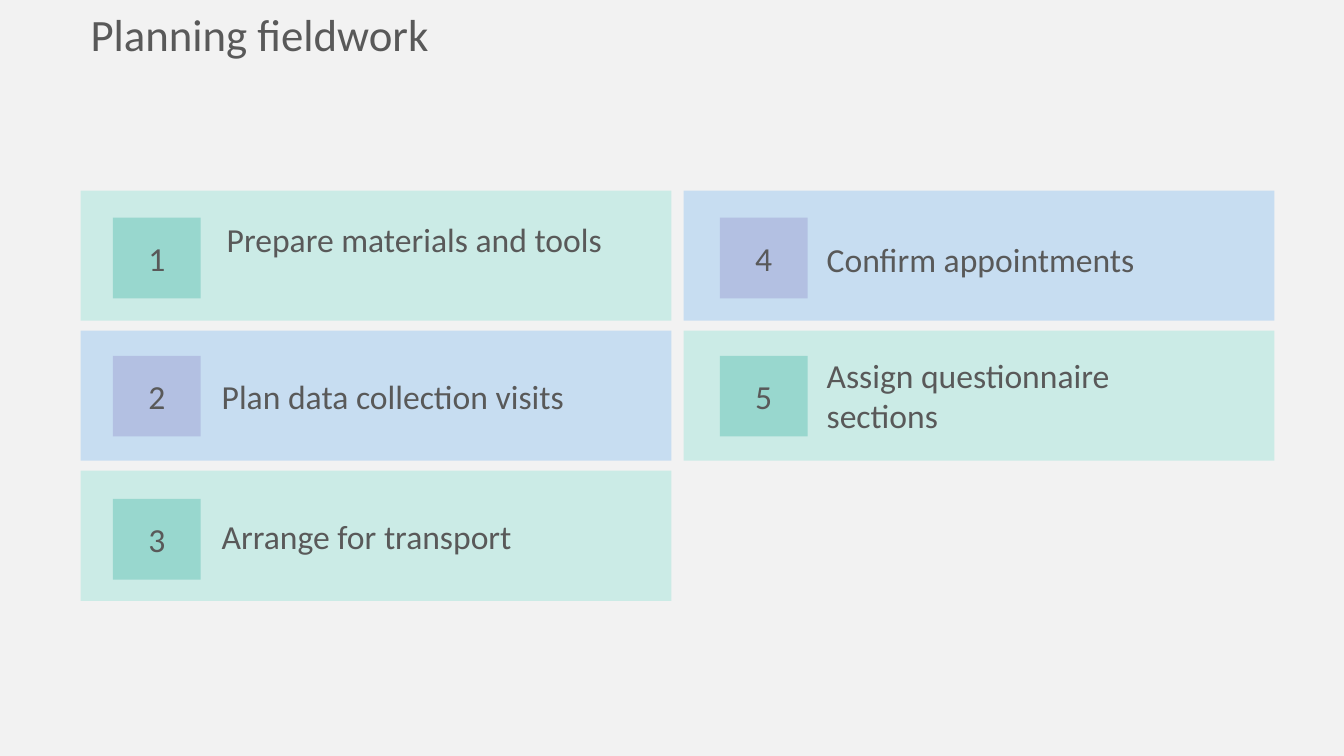
from pptx import Presentation
from pptx.dml.color import RGBColor
from pptx.enum.shapes import MSO_SHAPE as Shape
from pptx.enum.text import MSO_ANCHOR as Anchor, MSO_AUTO_SIZE as AutoSize, PP_ALIGN as Align
from pptx.util import Inches, Pt

TITLE = "Planning fieldwork"
# Task, then left, top and height of its label
TASKS = [
    ("Prepare materials and tools", 2.15, 2.12, 0.91),
    ("Plan data collection visits", 2.1, 3.68, 0.5),
    ("Arrange for transport", 2.1, 5.07, 0.5),
    ("Confirm appointments", 8.1, 2.32, 0.5),
    ("Assign questionnaire sections", 8.1, 3.47, 0.91),
]

COLORS = {
    "background": "F2F2F2",
    "text": "595959",
    "mint": "CBEBE6",
    "teal": "98D7CE",
    "sky": "C7DDF1",
    "lavender": "B3C0E2",
}
SCHEMES = [("mint", "teal"), ("sky", "lavender")]
FONT = "Calibri"

ROWS = 3
CARD_LEFT, CARD_TOP = 0.8, 1.89
CARD_WIDTH, CARD_HEIGHT = 5.86, 1.29
COLUMN_STEP, ROW_STEP = 5.98, 1.39
BADGE_WIDTH, BADGE_HEIGHT = 0.87, 0.8
BADGE_LEFTS = [1.12, 7.14]  # by column
BADGE_TOPS = [2.16, 3.53, 4.95]  # by row
LABEL_WIDTH = 3.98


def rgb(name):
    return RGBColor.from_string(COLORS[name])


def write(frame, text, size):
    frame.word_wrap = True
    frame.text = text
    font = frame.paragraphs[0].runs[0].font
    font.name, font.size = FONT, Pt(size)
    font.color.rgb = rgb("text")


def add_text(slide, text, size, left, top, width, height):
    box = slide.shapes.add_textbox(*map(Inches, (left, top, width, height)))
    write(box.text_frame, text, size)
    box.text_frame.auto_size = AutoSize.SHAPE_TO_FIT_TEXT


def add_block(slide, color, left, top, width, height):
    block = slide.shapes.add_shape(Shape.RECTANGLE, *map(Inches, (left, top, width, height)))
    block.shadow.inherit = False
    block.fill.solid()
    block.fill.fore_color.rgb = rgb(color)
    block.line.fill.background()
    return block


def add_task(slide, index, task, label_left, label_top, label_height):
    column, row = divmod(index, ROWS)
    card_color, badge_color = SCHEMES[index % 2]
    add_block(slide, card_color, CARD_LEFT + column * COLUMN_STEP,
              CARD_TOP + row * ROW_STEP, CARD_WIDTH, CARD_HEIGHT)
    badge = add_block(slide, badge_color, BADGE_LEFTS[column], BADGE_TOPS[row],
                      BADGE_WIDTH, BADGE_HEIGHT)
    write(badge.text_frame, str(index + 1), 24)
    badge.text_frame.vertical_anchor = Anchor.MIDDLE
    badge.text_frame.paragraphs[0].alignment = Align.CENTER
    add_text(slide, task, 24, label_left, label_top, LABEL_WIDTH, label_height)


def main():
    deck = Presentation()
    deck.slide_width, deck.slide_height = Inches(13.33), Inches(7.5)
    slide = deck.slides.add_slide(deck.slide_layouts[6])
    slide.background.fill.solid()
    slide.background.fill.fore_color.rgb = rgb("background")
    add_text(slide, TITLE, 32, 0.8, 0.02, 11.06, 0.64)
    for index, task in enumerate(TASKS):
        add_task(slide, index, *task)
    deck.save("out.pptx")


if __name__ == "__main__":
    main()
